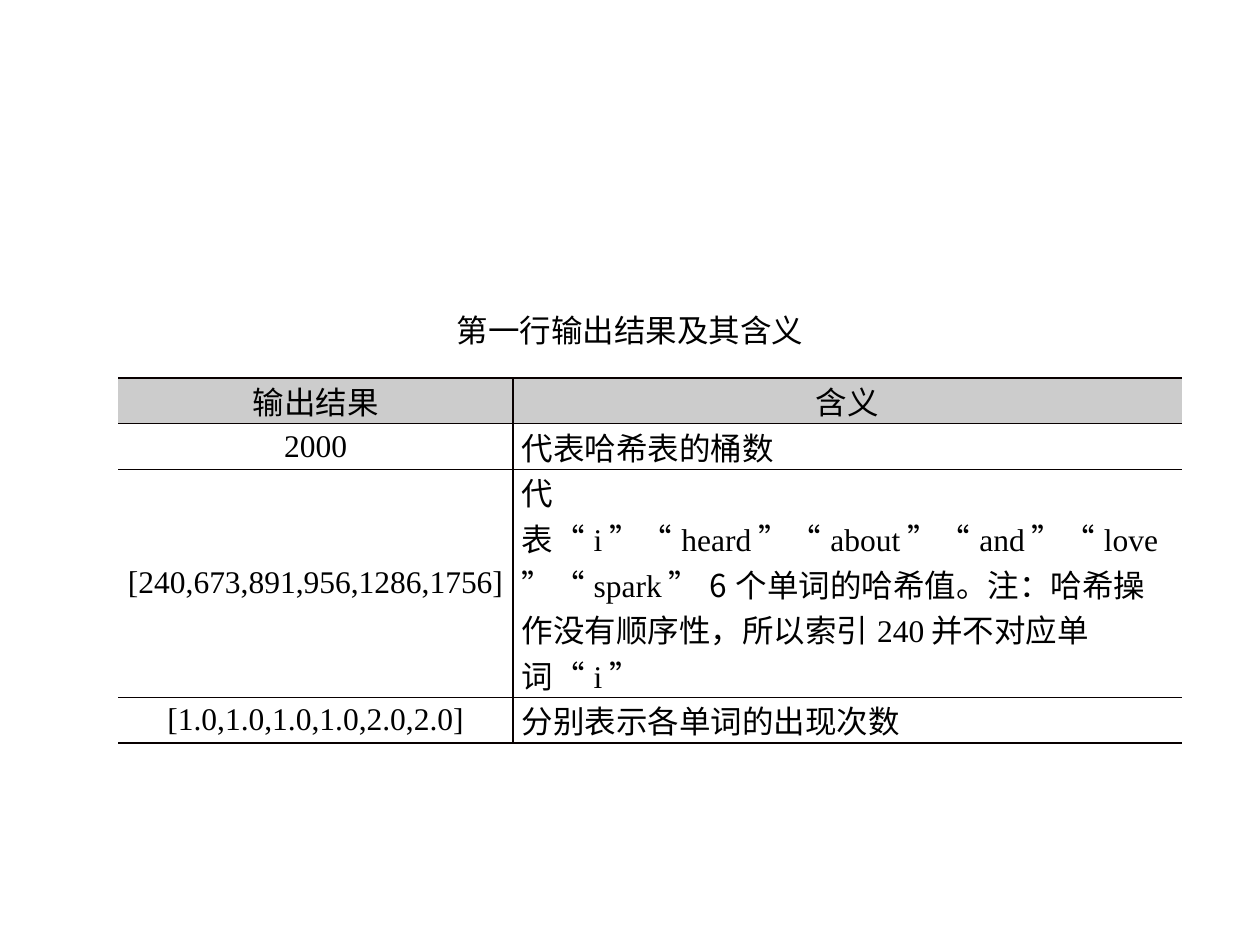
from lxml.etree import SubElement
from pptx import Presentation
from pptx.dml.color import RGBColor
from pptx.enum.lang import MSO_LANGUAGE_ID
from pptx.enum.text import MSO_ANCHOR, MSO_AUTO_SIZE, PP_ALIGN
from pptx.oxml.ns import qn
from pptx.util import Inches, Pt

BLACK = RGBColor(0x00, 0x00, 0x00)
BORDER = RGBColor(0x08, 0x00, 0x00)
HEADER_GRAY = RGBColor(0xCC, 0xCC, 0xCC)
LATIN_FONT = "Times New Roman"
CHINESE_FONT = "Noto Sans CJK SC"
HEADING_FONT = "Arial"

CAPTION = "第一行输出结果及其含义"
ROWS = [
    ("输出结果", "含义"),
    ("2000", "代表哈希表的桶数"),
    (
        "[240,673,891,956,1286,1756]",
        "代表|“|i|”“|heard|”“|about|”“|and|”“|love|”“|spark|”6|个单词的哈希值|。|"
        "注：哈希操作没有顺序性，所以索引240并不对应单词|“|i|”",
    ),
    ("[1.0,1.0,1.0,1.0,2.0,2.0]", "分别表示各单词的出现次数"),
]
COLUMN_WIDTHS = (3.13, 5.31)
ROW_HEIGHTS = (0.36, 0.36, 1.81, 0.36)


class SlideBuilder:
    """Holds the text style and the current slide, and adds elements to it."""

    def __init__(self, slide):
        self.slide = slide
        self.font_format = {
            "size": Pt(18),
            "language_id": MSO_LANGUAGE_ID.SIMPLIFIED_CHINESE,
        }

    def add_text(self, text_frame, text, font_name, alignment):
        paragraph = text_frame.paragraphs[0]
        paragraph.alignment = alignment
        for index, part in enumerate(text.split("|")):
            run = paragraph.add_run()
            run.text = part
            run.font.color.rgb = BLACK
            run.font.name = CHINESE_FONT if index % 2 else font_name
            for name, value in self.font_format.items():
                setattr(run.font, name, value)
            east_asian = SubElement(run.font._element, qn("a:ea"))
            east_asian.set("typeface", CHINESE_FONT)

    def add_caption(self, text, left, top, width, height):
        shape = self.slide.shapes.add_textbox(
            Inches(left), Inches(top), Inches(width), Inches(height)
        )
        text_frame = shape.text_frame
        text_frame.word_wrap = True
        text_frame.auto_size = MSO_AUTO_SIZE.SHAPE_TO_FIT_TEXT
        self.add_text(text_frame, text, HEADING_FONT, PP_ALIGN.CENTER)

    def set_borders(self, cell, widths):
        properties = cell._tc.get_or_add_tcPr()
        for side, width in widths.items():
            line = SubElement(properties, qn(f"a:ln{side}"), w=str(Pt(width)))
            if width:
                fill = SubElement(line, qn("a:solidFill"))
                SubElement(fill, qn("a:srgbClr"), val=str(BORDER))
            else:
                SubElement(line, qn("a:noFill"))

    def add_table(self, rows, left, top):
        shape = self.slide.shapes.add_table(
            len(rows), len(COLUMN_WIDTHS), Inches(left), Inches(top),
            Inches(sum(COLUMN_WIDTHS)), Inches(sum(ROW_HEIGHTS)),
        )
        table = shape.table
        table.first_row = table.horz_banding = False
        for column, width in zip(table.columns, COLUMN_WIDTHS):
            column.width = Inches(width)
        for row, height in zip(table.rows, ROW_HEIGHTS):
            row.height = Inches(height)
        cell_format = {
            "vertical_anchor": MSO_ANCHOR.MIDDLE,
            "margin_left": Inches(0.07),
            "margin_right": Inches(0.07),
            "margin_top": 0,
            "margin_bottom": 0,
        }
        for row_index, texts in enumerate(rows):
            header = row_index == 0
            for column_index, text in enumerate(texts):
                cell = table.cell(row_index, column_index)
                for name, value in cell_format.items():
                    setattr(cell, name, value)
                self.set_borders(cell, {
                    "L": 1 if column_index else 0,
                    "R": 0 if column_index else 1,
                    "T": 1 if header else 0.5,
                    "B": 1 if row_index == len(rows) - 1 else 0.5,
                })
                if header:
                    cell.fill.solid()
                    cell.fill.fore_color.rgb = HEADER_GRAY
                else:
                    cell.fill.background()
                centered = header or column_index == 0
                self.add_text(
                    cell.text_frame, text,
                    HEADING_FONT if header else LATIN_FONT,
                    PP_ALIGN.CENTER if centered else PP_ALIGN.LEFT,
                )


def main():
    presentation = Presentation()
    presentation.slide_width = Inches(10)
    presentation.slide_height = Inches(7.5)
    builder = SlideBuilder(presentation.slides.add_slide(presentation.slide_layouts[6]))
    builder.add_table(ROWS, 0.94, 3)
    builder.add_caption(CAPTION, 2.22, 2.42, 5.56, 0.4)
    presentation.save("out.pptx")


if __name__ == "__main__":
    main()
